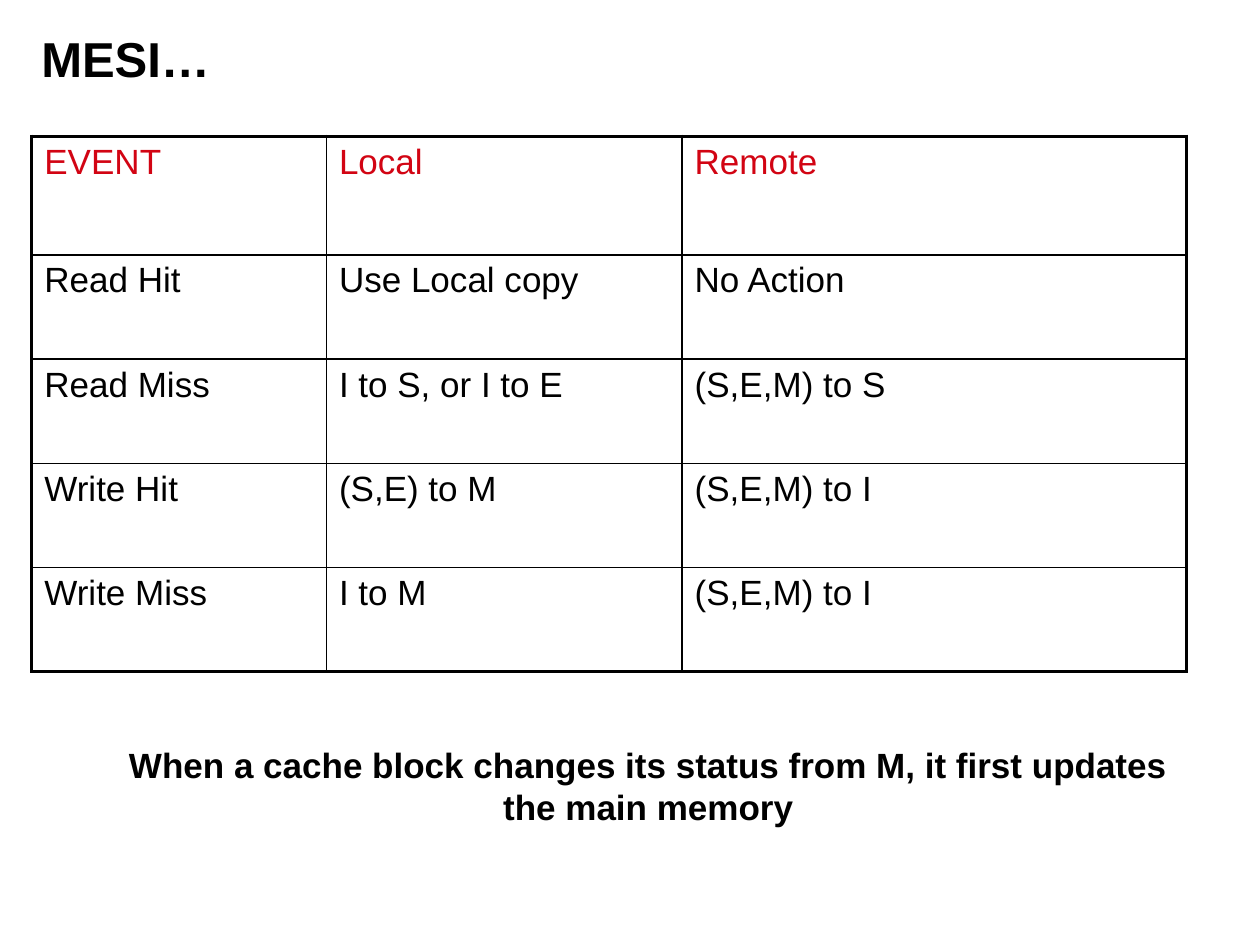
from lxml import etree
from pptx import Presentation
from pptx import util as u
from pptx.dml.color import RGBColor
from pptx.enum import text
from pptx.oxml.ns import qn

BLACK, RED = "000000", "D20413"


def style(para, size, color, bold=False):
    for span in para.runs:
        span.font.name = "Arial"
        span.font.size = u.Pt(size)
        span.font.bold = bold
        span.font.color.rgb = RGBColor.from_string(color)


def add_border(cell, side, width):
    line = etree.SubElement(cell._tc.get_or_add_tcPr(), qn(f"a:ln{side}"), w=str(u.Pt(width)))
    fill = etree.SubElement(line, qn("a:solidFill"))
    etree.SubElement(fill, qn("a:srgbClr"), val=BLACK)


deck = Presentation()
deck.slide_width, deck.slide_height = u.Cm(25.4), u.Cm(19.05)
page = deck.slides.add_slide(deck.slide_layouts[5])

title = page.shapes.title
title.left, title.top, title.width, title.height = u.Cm(0.58), u.Cm(0), u.Cm(24.82), u.Cm(2.34)
title.text_frame.text = "MESI…"
title.text_frame.word_wrap = False
title.text_frame.vertical_anchor = text.MSO_ANCHOR.MIDDLE
title.text_frame.paragraphs[0].alignment = text.PP_ALIGN.LEFT
style(title.text_frame.paragraphs[0], 28, BLACK, bold=True)

events = [
    ["EVENT", "Local", "Remote"],
    ["Read Hit", "Use Local copy", "No Action"],
    ["Read Miss", "I to S, or I to E", "(S,E,M) to S"],
    ["Write Hit", "(S,E) to M", "(S,E,M) to I"],
    ["Write Miss", "I to M", "(S,E,M) to I"],
]
widths = [5.94, 7.17, 10.17]
heights = [2.39] + [2.1] * 4
frame = page.shapes.add_table(len(events), len(widths), u.Cm(0.64), u.Cm(2.75),
                              u.Cm(sum(widths)), u.Cm(sum(heights)))
table = frame.table
table.first_row = table.horz_banding = False
for column, width in zip(table.columns, widths):
    column.width = u.Cm(width)
for row, height in zip(table.rows, heights):
    row.height = u.Cm(height)

for r, event in enumerate(events):
    for c, label in enumerate(event):
        cell = table.cell(r, c)
        cell.text_frame.text = label
        style(cell.text_frame.paragraphs[0], 20, RED if r == 0 else BLACK)
        outer = {"L": c == 0, "R": c == len(widths) - 1, "T": r == 0, "B": r == len(events) - 1}
        for side, is_outer in outer.items():
            add_border(cell, side, 2.25 if is_outer else 1)
        cell.fill.background()

note = page.shapes.add_textbox(u.Cm(2.29), u.Cm(14.86), u.Cm(21.56), u.Cm(1.96))
note.text_frame.text = "When a cache block changes its status from M, it first updates \nthe main memory"
note.text_frame.word_wrap = False
note.text_frame.auto_size = text.MSO_AUTO_SIZE.SHAPE_TO_FIT_TEXT
for para in note.text_frame.paragraphs:
    para.alignment = text.PP_ALIGN.CENTER
    style(para, 20, BLACK, bold=True)

deck.save("out.pptx")
